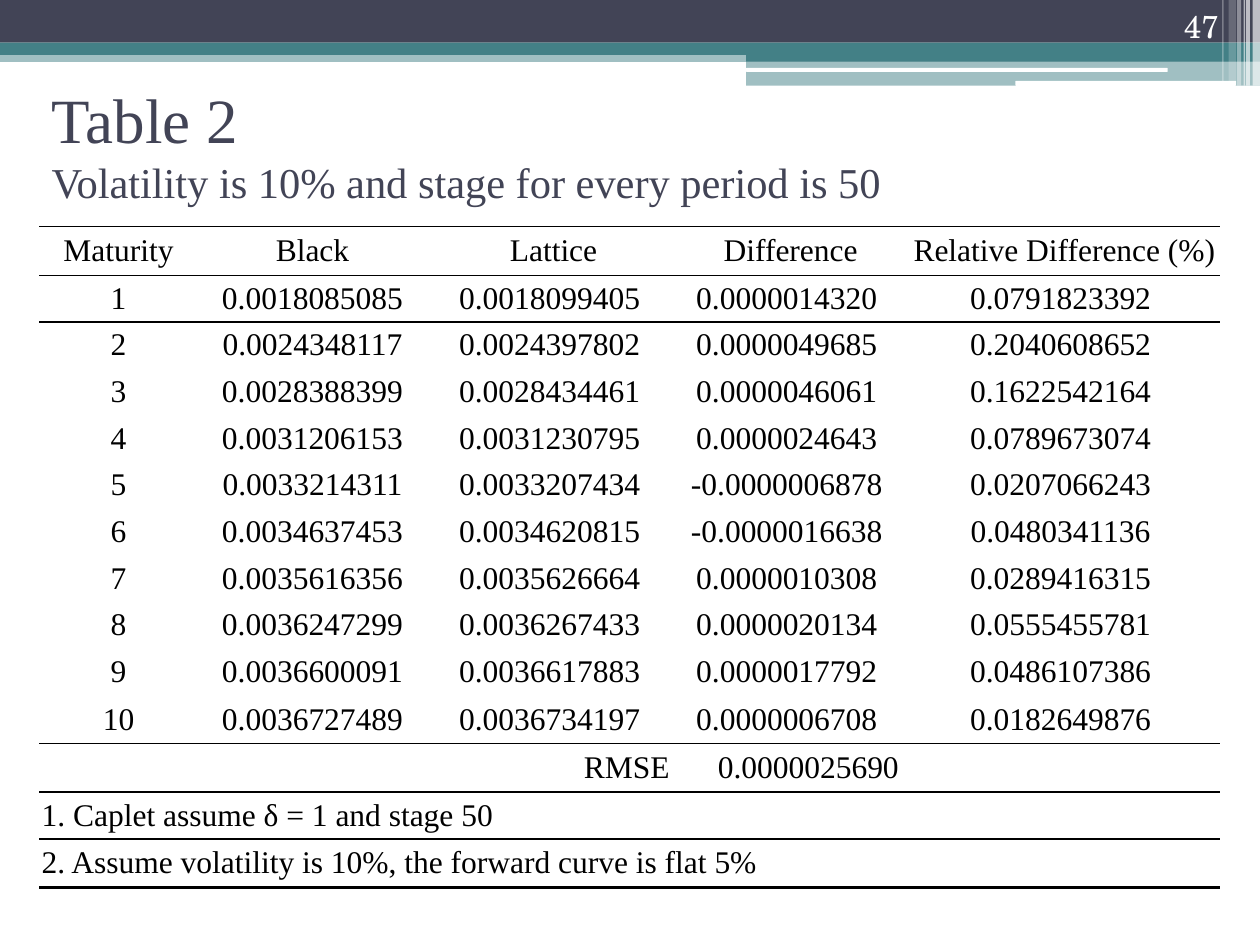
from dataclasses import dataclass

from lxml import etree
from pptx import Presentation
from pptx.dml.color import RGBColor
from pptx.enum.shapes import MSO_SHAPE
from pptx.enum.text import MSO_ANCHOR, PP_ALIGN
from pptx.oxml.ns import qn
from pptx.util import Cm, Pt

RECT, ROUND = MSO_SHAPE.RECTANGLE, MSO_SHAPE.ROUNDED_RECTANGLE
TOP, MIDDLE, BOTTOM = MSO_ANCHOR.TOP, MSO_ANCHOR.MIDDLE, MSO_ANCHOR.BOTTOM
LEFT, CENTER, RIGHT = PP_ALIGN.LEFT, PP_ALIGN.CENTER, PP_ALIGN.RIGHT


@dataclass(frozen=True)
class Theme:
    dark: str = "424456"
    teal: str = "438086"
    white: str = "FFFFFF"
    black: str = "000000"
    serif: str = "Times New Roman"
    school: str = "TeX Gyre Schola"
    head: float = 36
    sub: float = 24.3
    body: float = 18
    thin: float = 1
    thick: float = 2.25
    plain: str = "{2D5ABB26-0587-4C30-8999-92F81FD0307C}"


THEME = Theme()

HEADS = ("Maturity", "Black", "Lattice", "Difference", "Relative Difference (%)")
RATES = (
    ("0.0018085085", "0.0018099405", "0.0000014320", "0.0791823392"),
    ("0.0024348117", "0.0024397802", "0.0000049685", "0.2040608652"),
    ("0.0028388399", "0.0028434461", "0.0000046061", "0.1622542164"),
    ("0.0031206153", "0.0031230795", "0.0000024643", "0.0789673074"),
    ("0.0033214311", "0.0033207434", "-0.0000006878", "0.0207066243"),
    ("0.0034637453", "0.0034620815", "-0.0000016638", "0.0480341136"),
    ("0.0035616356", "0.0035626664", "0.0000010308", "0.0289416315"),
    ("0.0036247299", "0.0036267433", "0.0000020134", "0.0555455781"),
    ("0.0036600091", "0.0036617883", "0.0000017792", "0.0486107386"),
    ("0.0036727489", "0.0036734197", "0.0000006708", "0.0182649876"),
)
NOTES = (
    "1. Caplet assume δ = 1 and stage 50",
    "2. Assume volatility is 10%, the forward curve is flat 5%",
)


def write(para, text, size=THEME.body, color=THEME.black, font=THEME.serif, align=LEFT):
    para.alignment = align
    run = para.add_run()
    run.text = text
    run.font.size = Pt(size)
    run.font.name = font
    run.font.color.rgb = RGBColor.from_string(color)


def add_bar(slide, box, color, alpha=100, kind=RECT):
    bar = slide.shapes.add_shape(kind, *map(Cm, box))
    bar.shadow.inherit = False
    bar.line.fill.background()
    bar.fill.solid()
    bar.fill.fore_color.rgb = RGBColor.from_string(color)
    if alpha < 100:
        tint = bar.fill._xPr.find(qn("a:solidFill"))[0]
        etree.SubElement(tint, qn("a:alpha")).set("val", str(alpha * 1000))


def add_frame(slide, box, anchor, inset):
    frame = slide.shapes.add_textbox(*map(Cm, box)).text_frame
    frame.word_wrap = True
    frame.vertical_anchor = anchor
    frame.margin_top = Cm(inset)
    return frame


def draw_band(slide, left, top, width, height):
    tab = 15.04
    rest = width - tab
    bars = (
        (0, 1.02, width, 0.23, THEME.teal, 50, RECT),
        (0, 0, width, 0.86, THEME.dark, 100, RECT),
        (0, 0.86, width, 0.25, THEME.teal, 100, RECT),
        (tab, 0.99, rest, 0.25, THEME.teal, 100, RECT),
        (tab, 1.22, rest, 0.51, THEME.teal, 50, RECT),
        (tab, 1.37, 8.5, 0.08, THEME.white, 100, ROUND),
        (20.47, 1.63, 4.45, 0.1, THEME.white, 100, ROUND),
    )
    for x, y, wide, high, color, alpha, kind in bars:
        add_bar(slide, (left + x, top + y, wide, high), color, alpha, kind)
    short = height - 0.1
    strips = (
        (0.15, 0.15, height, 65),
        (0.28, 0.08, height, 65),
        (0.33, 0.03, height, 60),
        (0.46, 0.08, height, 40),
        (0.63, 0.15, short, 20),
        (0.76, 0.03, short, 30),
    )
    for back, wide, high, alpha in strips:
        add_bar(slide, (left + width - back, top, wide, high), THEME.white, alpha)


def draw_title(slide, *box):
    para = add_frame(slide, box, TOP, 0.05).paragraphs[0]
    write(para, "Table 2", size=THEME.head, color=THEME.dark)
    para.add_line_break()
    write(para, "Volatility is 10% and stage for every period is 50",
          size=THEME.sub, color=THEME.dark)


def draw_number(slide, *box):
    para = add_frame(slide, box, BOTTOM, 0.13).paragraphs[0]
    write(para, "47", color=THEME.white, font=THEME.school, align=RIGHT)


def add_rule(cell, side, width):
    line = etree.SubElement(cell._tc.get_or_add_tcPr(), qn("a:" + side))
    line.set("w", str(Pt(width)))
    fill = etree.SubElement(line, qn("a:solidFill"))
    etree.SubElement(fill, qn("a:srgbClr")).set("val", THEME.black)


def fill_cell(cell, text, align=CENTER, pad=0):
    cell.margin_right = Cm(0.05 + pad)
    write(cell.text_frame.paragraphs[0], text, align=align)


def draw_table(slide, left, top, width, height):
    cols = (3.2, 4.78, 4.78, 4.78, 6.26)
    first, last = 1, len(RATES)
    total = last + 1
    count = total + 1 + len(NOTES)
    rules = {0: THEME.thin, last: THEME.thin, total: THEME.thin, count - 1: THEME.thick}
    gap = 0.16
    table = slide.shapes.add_table(
        count, len(cols), Cm(left), Cm(top), Cm(width), Cm(height)).table
    table._tbl.tblPr.find(qn("a:tableStyleId")).text = THEME.plain
    table.first_row = table.horz_banding = False
    for col, wide in zip(table.columns, cols):
        col.width = Cm(wide)
    for num, row in enumerate(table.rows):
        row.height = Cm(0.98 if num in rules else 0.94)
        for cell in row.cells:
            cell.margin_left = cell.margin_right = Cm(0.05)
            cell.margin_top = cell.margin_bottom = 0
            cell.vertical_anchor = MIDDLE
            if num == 0:
                add_rule(cell, "lnT", THEME.thin)
            elif num - 1 in rules:
                add_rule(cell, "lnT", rules[num - 1])
            if num in rules:
                add_rule(cell, "lnB", rules[num])
            cell.fill.background()
    for col, text in enumerate(HEADS):
        fill_cell(table.cell(0, col), text, pad=gap if col == 1 else 0)
    for num, rates in enumerate(RATES, first):
        fill_cell(table.cell(num, 0), str(num))
        for col, rate in enumerate(rates, 1):
            fill_cell(table.cell(num, col), rate, pad=gap)
    fill_cell(table.cell(total, 2), "RMSE", align=RIGHT)
    fill_cell(table.cell(total, 3), "0.0000025690", align=RIGHT, pad=gap)
    for num, note in enumerate(NOTES, total + 1):
        cell = table.cell(num, 0)
        cell.merge(table.cell(num, len(cols) - 1))
        fill_cell(cell, note, align=LEFT)


def main():
    deck = Presentation()
    deck.slide_width, deck.slide_height = Cm(25.4), Cm(19.05)
    slide = deck.slides.add_slide(deck.slide_layouts[6])
    draw_band(slide, 0, 0, 25.4, 1.73)
    draw_title(slide, 0.79, 1.57, 24.13, 2.34)
    draw_number(slide, 22.71, 0, 2.11, 1.02)
    draw_table(slide, 0.79, 4.57, 23.8, 13.32)
    deck.save("out.pptx")


if __name__ == "__main__":
    main()
